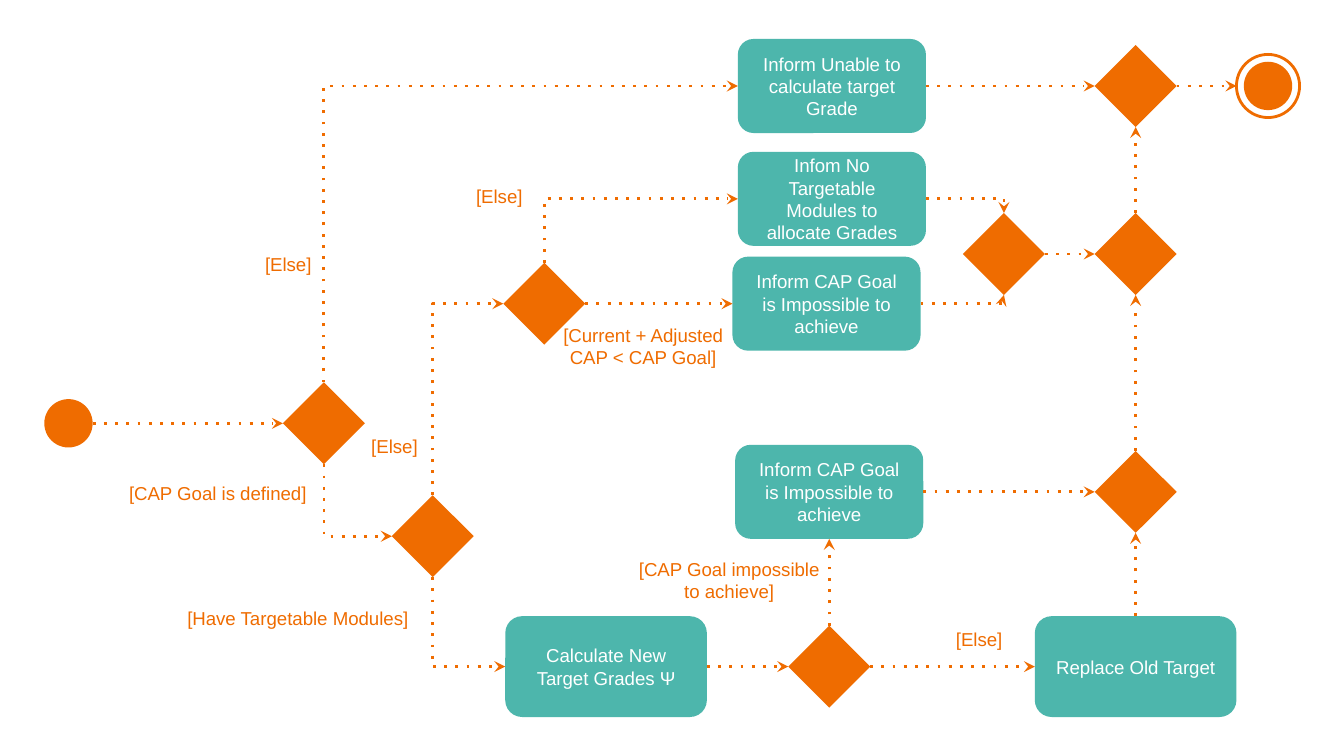
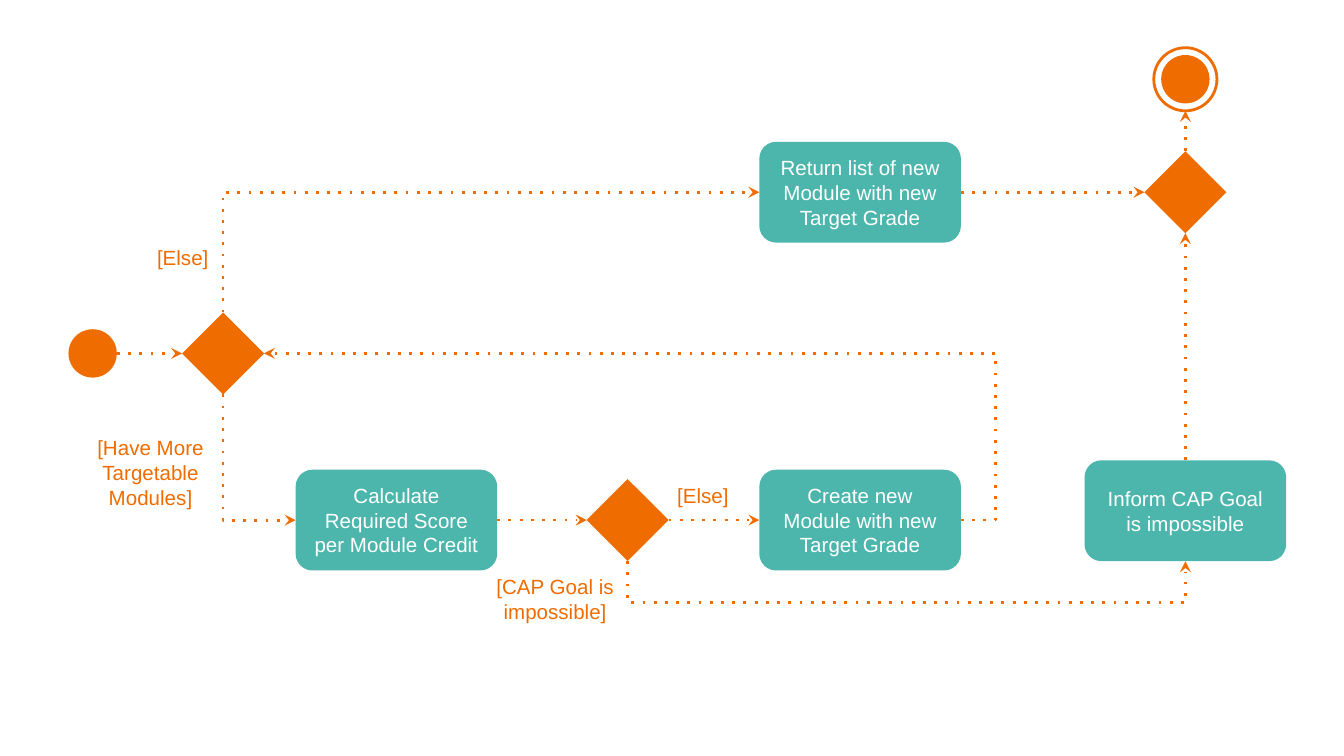
from lxml.etree import SubElement
from pptx import Presentation
from pptx.dml.color import RGBColor
from pptx.enum.shapes import MSO_CONNECTOR as CONN, MSO_SHAPE as SHAPE
from pptx.enum.text import MSO_ANCHOR as ANCHOR, PP_ALIGN as ALIGN
from pptx.oxml.ns import qn
from pptx.util import Emu, Inches, Pt

WIDTH, HEIGHT = Inches(10), Inches(5.625)
UNIT = WIDTH / 100          # one grid column; rows have the same pitch
ORANGE, TEAL, WHITE = "EF6C00", "4DB6AC", "FFFFFF"
FONT = "Arial"
DIAMOND, DOT, RING = 6.1, 3.6, 4.7
SMALL_BOX, LARGE_BOX = (14, 7), (15, 7.5)
BULGE = Inches(0.26)        # how far a loop swings out beyond its start
MARGINS = dict.fromkeys(
    ("margin_left", "margin_top", "margin_right", "margin_bottom"), Inches(0.1))
SIDES = "TLBR"              # connection sites 0 to 3
SIDE_SHARES = {"T": (0.5, 0), "L": (0, 0.5), "B": (0.5, 1), "R": (1, 0.5)}


def color(value):
    return RGBColor.from_string(value)


def grid(*values):
    return [Emu(round(v * UNIT)) for v in values]


def side_point(sp, side):
    fx, fy = SIDE_SHARES[side]
    return Emu(round(sp.left + fx * sp.width)), Emu(round(sp.top + fy * sp.height))


class FlowSlide:
    """An activity diagram on one slide; nodes are placed by their centre."""

    def __init__(self, prs, size):
        self.shapes = prs.slides.add_slide(prs.slide_layouts[6]).shapes
        self.size = Pt(size)

    def put_text(self, sp, text, ink, anchor):
        tf = sp.text_frame
        form = {"word_wrap": True, "vertical_anchor": anchor, **MARGINS}
        for name, value in form.items():
            setattr(tf, name, value)
        p = tf.paragraphs[0]
        p.alignment = ALIGN.CENTER
        r = p.add_run()
        r.text = text
        for name, value in {"name": FONT, "size": self.size}.items():
            setattr(r.font, name, value)
        r.font.color.rgb = color(ink)

    def node(self, kind, x, y, w, h, fill=None, shapes=None):
        sp = (shapes or self.shapes).add_shape(
            kind, *grid(x - w / 2, y - h / 2, w, h))
        sp.shadow.inherit = False
        if fill:
            sp.fill.solid()
            sp.fill.fore_color.rgb = color(fill)
            sp.line.fill.background()
        else:
            sp.fill.background()
            sp.line.color.rgb = color(ORANGE)
            sp.line.width = Pt(1.5)
        return sp

    def diamond(self, x, y):
        return self.node(SHAPE.DIAMOND, x, y, DIAMOND, DIAMOND, ORANGE)

    def start(self, x, y):
        return self.node(SHAPE.OVAL, x, y, DOT, DOT, ORANGE)

    def final(self, x, y):
        shapes = self.shapes.add_group_shape().shapes
        ring = self.node(SHAPE.OVAL, x, y, RING, RING, shapes=shapes)
        self.node(SHAPE.OVAL, x, y, DOT, DOT, ORANGE, shapes)
        return ring

    def action(self, x, y, text, size=LARGE_BOX):
        sp = self.node(SHAPE.ROUNDED_RECTANGLE, x, y, *size, TEAL)
        self.put_text(sp, text, WHITE, ANCHOR.MIDDLE)
        return sp

    def label(self, left, top, width, text, height=3.9):
        sp = self.shapes.add_textbox(*grid(left, top, width, height))
        self.put_text(sp, text, ORANGE, ANCHOR.TOP)

    def link(self, a, b, sides):
        """Arrow from a to b: a corner, a loop (same side twice) or straight."""
        out, into = sides
        loop = out == into
        corner = (out in "TB") != (into in "TB")
        (x1, y1), (x2, y2) = side_point(a, out), side_point(b, into)
        kind = CONN.ELBOW if loop or corner else CONN.STRAIGHT
        c = self.shapes.add_connector(kind, x1, y1, x2, y2)
        if a.auto_shape_type != SHAPE.OVAL:
            c.begin_connect(a, SIDES.index(out))
        if b.auto_shape_type != SHAPE.OVAL:
            c.end_connect(b, SIDES.index(into))
        geom = c.element.spPr.find(qn("a:prstGeom"))
        run = x2 - x1
        if corner:
            geom.set("prst", "bentConnector2")
        if out in "TB" and kind == CONN.ELBOW:
            run = y2 - y1
            if loop:
                run = max(run, Inches(0.001))
            self.turn(c, x1, y1, x2 - x1, run)
        if loop:
            SubElement(geom.find(qn("a:avLst")), qn("a:gd"), name="adj1",
                       fmla=f"val {round(BULGE / run * 100000)}")
        self.style_arrow(c)

    @staticmethod
    def turn(c, x, y, dx, dy):
        """Make an elbow leave vertically, towards the right."""
        w, h = abs(dy), abs(dx)
        place = {"left": x + (dx - w) / 2, "top": y + (dy - h) / 2,
                 "width": w, "height": h}
        for name, value in place.items():
            setattr(c, name, Emu(round(value)))
        xfrm = c.element.spPr.find(qn("a:xfrm"))
        for name, value in {"rot": "16200000", "flipH": str(int(dy > 0)),
                            "flipV": "0"}.items():
            xfrm.set(name, value)

    @staticmethod
    def style_arrow(c):
        c.line.color.rgb = color(ORANGE)
        c.line.width = Pt(1.5)
        pr = c.element.spPr
        ln = pr.find(qn("a:ln"))
        SubElement(ln, qn("a:prstDash"), val="dot")
        SubElement(ln, qn("a:tailEnd"), type="stealth")
        SubElement(pr, qn("a:effectLst"))


def target_grades(prs):
    s = FlowSlide(prs, 10)
    top, middle, low, bottom = 6.4, 18.9, 36.6, 49.6
    merge_x = 84.5
    start = s.start(5.1, 31.5)
    goal_defined = s.diamond(24.1, 31.5)
    has_modules = s.diamond(32.2, 39.9)
    below_goal = s.diamond(40.5, 22.6)
    impossible = s.diamond(61.7, bottom)
    inform_merge = s.diamond(74.7, middle)
    top_merge, mid_merge, low_merge = [
        s.diamond(merge_x, y) for y in (top, middle, low)]
    final = s.final(94.35, top)

    unable = s.action(61.9, top, "Inform Unable to calculate target Grade", SMALL_BOX)
    no_modules = s.action(
        61.9, 14.8, "Infom No Targetable Modules to allocate Grades", SMALL_BOX)
    goal_text = "Inform CAP Goal is Impossible to achieve"
    too_low = s.action(61.5, 22.6, goal_text, SMALL_BOX)
    no_goal = s.action(61.7, low, goal_text, SMALL_BOX)
    calculate = s.action(45.1, bottom, "Calculate New Target Grades Ψ")
    replace = s.action(merge_x, bottom, "Replace Old Target")

    for link in (
            (start, goal_defined, "RL"), (goal_defined, has_modules, "BL"),
            (goal_defined, unable, "TL"), (has_modules, below_goal, "TL"),
            (has_modules, calculate, "BL"), (below_goal, no_modules, "TL"),
            (below_goal, too_low, "RL"), (calculate, impossible, "RL"),
            (impossible, no_goal, "TB"), (impossible, replace, "RL"),
            (replace, low_merge, "TB"), (no_goal, low_merge, "RL"),
            (too_low, inform_merge, "RB"), (no_modules, inform_merge, "RT"),
            (inform_merge, mid_merge, "RL"), (low_merge, mid_merge, "TB"),
            (mid_merge, top_merge, "TB"), (unable, top_merge, "RL"),
            (top_merge, final, "RL")):
        s.link(*link)

    for left, row in ((17.5, 18), (25.4, 31.5), (33.2, 12.9), (68.9, 45.9)):
        s.label(left, row, 7.9, "[Else]")
    s.label(6, 35, 20.4, "[CAP Goal is defined]")
    s.label(11.1, 44.3, 22.1, "[Have Targetable Modules]")
    s.label(40, 23.1, 15.7, "[Current + Adjusted CAP < CAP Goal]", 6.1)
    s.label(46.4, 40.5, 15.7, "[CAP Goal impossible to achieve]", 6.1)


def new_modules(prs):
    s = FlowSlide(prs, 11)
    top, middle, low = 14.3, 26.3, 38.7
    box_x, end_x = 64, 88.2
    start = s.start(6.9, middle)
    more_modules = s.diamond(16.6, middle)
    calculate = s.action(29.5, low, "Calculate Required Score per Module Credit")
    impossible = s.diamond(46.7, low)
    create = s.action(box_x, low, "Create new Module with new Target Grade")
    inform = s.action(end_x, 38, "Inform CAP Goal is impossible")
    give_back = s.action(box_x, top, "Return list of new Module with new Target Grade")
    merge = s.diamond(end_x, top)
    final = s.final(end_x, 5.9)

    for link in (
            (start, more_modules, "RL"), (more_modules, calculate, "BL"),
            (calculate, impossible, "RL"), (impossible, create, "RL"),
            (create, more_modules, "RR"), (impossible, inform, "BB"),
            (more_modules, give_back, "TL"), (give_back, merge, "RL"),
            (inform, merge, "TB"), (merge, final, "TB")):
        s.link(*link)

    for left, row, text in (
            (4.3, 31.4, "[Have More Targetable Modules]"), (6.7, 17.3, "[Else]"),
            (34.4, 41.7, "[CAP Goal is impossible]"), (45.4, 35, "[Else]")):
        s.label(left, row, 13.8, text)


def main():
    prs = Presentation()
    prs.slide_width, prs.slide_height = WIDTH, HEIGHT
    target_grades(prs)
    new_modules(prs)
    prs.save("out.pptx")


if __name__ == "__main__":
    main()
